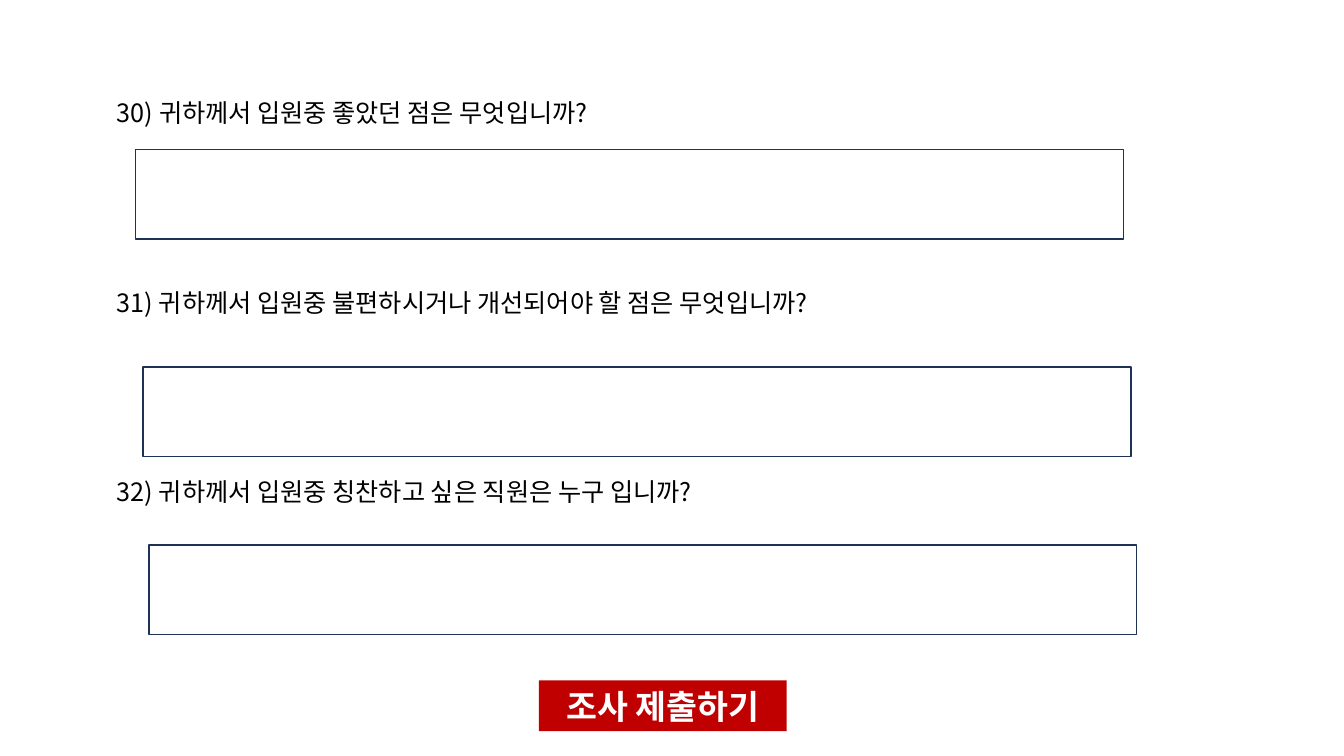
from lxml.etree import SubElement
from pptx import Presentation
from pptx.dml.color import RGBColor
from pptx.enum.shapes import MSO_SHAPE
from pptx.enum.text import MSO_ANCHOR, PP_ALIGN
from pptx.oxml.ns import qn
from pptx.util import Pt

COLORS = {"text": "000000", "border": "1E3256", "button": "C00000", "label": "FFFFFF"}
FONT = "Noto Sans CJK KR"


def write(frame, wording, size, color, bold=False):
    run = frame.paragraphs[0].add_run()
    run.text = wording
    formats = {"name": FONT, "size": Pt(size), "bold": bold}
    for attribute, value in formats.items():
        setattr(run.font, attribute, value)
    run.font.color.rgb = RGBColor.from_string(COLORS[color])
    # Korean letters take the East Asian typeface
    SubElement(run.font._element, qn("a:ea"), typeface=FONT)


def add_box(left, top, width, height):
    box = slide.shapes.add_shape(
        MSO_SHAPE.RECTANGLE, Pt(left), Pt(top), Pt(width), Pt(height))
    box.shadow.inherit = False
    return box


prs = Presentation()
prs.slide_width, prs.slide_height = Pt(960), Pt(540)
slide = prs.slides.add_slide(prs.slide_layouts[6])

# Questions, evenly spaced: wording, width
questions = [
    ("30) 귀하께서 입원중 좋았던 점은 무엇입니까?", 663),
    ("31) 귀하께서 입원중 불편하시거나 개선되어야 할 점은 무엇입니까?", 795),
    ("32) 귀하께서 입원중 칭찬하고 싶은 직원은 누구 입니까?", 809),
]
for row, (wording, width) in enumerate(questions):
    question = slide.shapes.add_textbox(
        Pt(76.4), Pt(66.2 + row * 135.4), Pt(width), Pt(29))
    question.text_frame.word_wrap = True
    write(question.text_frame, wording, 18, "text")

# Answer fields: left, top
for left, top in [(96.8, 106.6), (102.2, 262), (106.4, 389.3)]:
    answer = add_box(left, top, 705.6, 64.1)
    answer.fill.background()
    answer.line.color.rgb = RGBColor.from_string(COLORS["border"])
    answer.line.width = Pt(1)

# Submit button
submit = add_box(385, 486, 177, 36.2)
submit.fill.solid()
submit.fill.fore_color.rgb = RGBColor.from_string(COLORS["button"])
submit.line.fill.background()
submit.text_frame.vertical_anchor = MSO_ANCHOR.MIDDLE
submit.text_frame.paragraphs[0].alignment = PP_ALIGN.CENTER
write(submit.text_frame, "조사 제출하기", 24, "label", bold=True)

prs.save("out.pptx")
